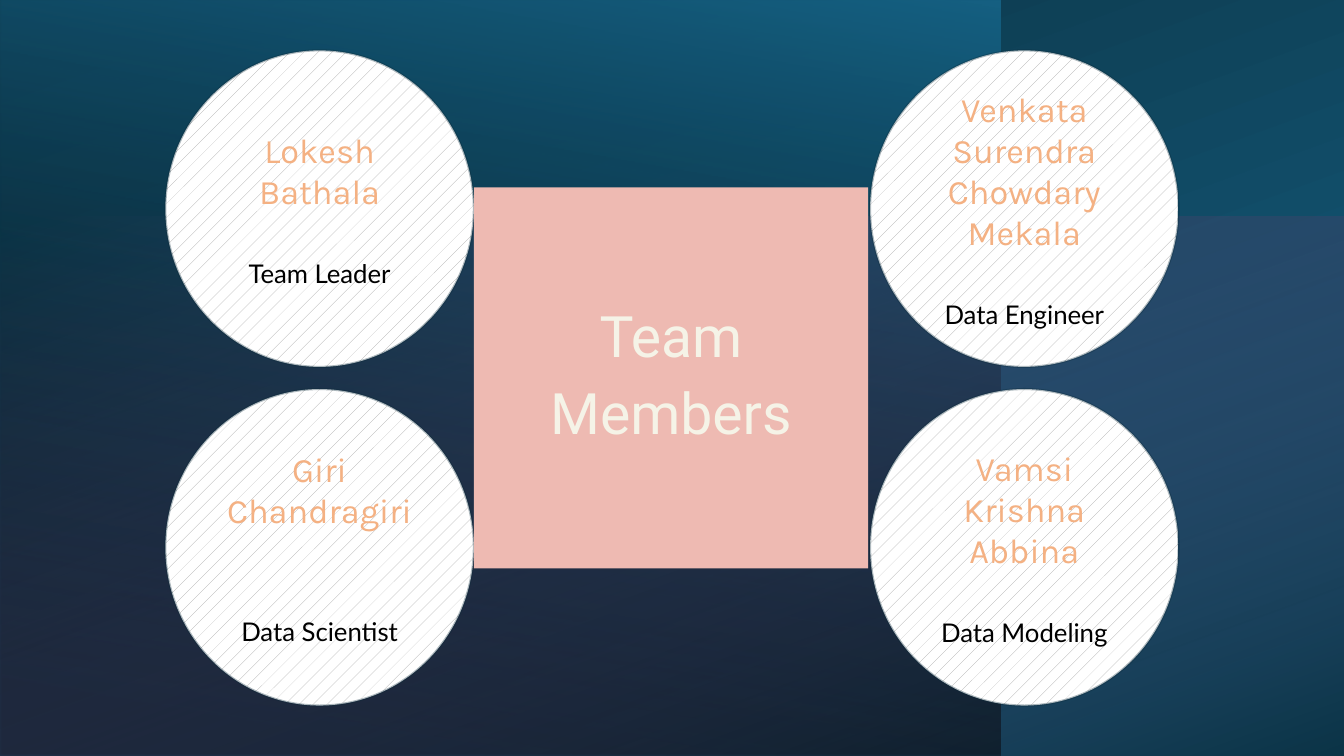
from dataclasses import dataclass

from pptx import Presentation
from pptx.dml.color import RGBColor
from pptx.enum.dml import MSO_PATTERN_TYPE
from pptx.enum.shapes import MSO_SHAPE
from pptx.enum.text import MSO_ANCHOR, MSO_AUTO_SIZE, PP_ALIGN
from pptx.oxml import parse_xml
from pptx.oxml.ns import nsdecls
from pptx.util import Inches, Pt

RECTANGLE, OVAL = MSO_SHAPE.RECTANGLE, MSO_SHAPE.OVAL
DOTTED = MSO_PATTERN_TYPE.PERCENT_5
MIDDLE, CENTER = MSO_ANCHOR.MIDDLE, PP_ALIGN.CENTER
NO_FIT = MSO_AUTO_SIZE.NONE
WIDTH, HEIGHT = 13.33, 7.5


@dataclass(frozen=True)
class Theme:
    teal: str = "156082"
    deep_teal: str = "0B3041"
    black: str = "000000"
    orchid: str = "D86ECC"
    white: str = "FFFFFF"
    hatch: str = "A6A6A6"
    outline: str = "092A39"
    pink: str = "EEBAB2"
    cream: str = "F5F3E7"
    peach: str = "F4B183"
    title_font: str = "Roboto"
    name_font: str = "Karla"
    role_font: str = "Lato"
    title_size: float = 40.8
    name_size: float = 24.5
    role_size: float = 18.4
    title_gap: float = 6
    outline_width: float = 1.5
    outline_opacity: int = 32


def apply(target, values):
    for name, value in values.items():
        setattr(target, name, value)


def rgb(color):
    return RGBColor.from_string(color)


def alpha(percent):
    return f'<a:alpha {nsdecls("a")} val="{percent * 1000}"/>'


class TeamSlide:
    left, top = 1.64, 0.5
    column_step, row_step = 6.99, 3.36
    circle_width, circle_height = 3.06, 3.14

    def __init__(self, deck, theme):
        self.theme = theme
        self.page = deck.slides.add_slide(deck.slide_layouts[5])

    def shape(self, kind, left, top, width, height):
        box = self.page.shapes.add_shape(
            kind, Inches(left), Inches(top), Inches(width), Inches(height))
        box.shadow.inherit = False
        return box

    def panel(self, area, rotation, angle, stops):
        left, top, width, height = area
        if rotation == 270:
            left += (width - height) / 2
            top += (height - width) / 2
            width, height = height, width
        box = self.shape(RECTANGLE, left, top, width, height)
        box.rotation = rotation
        box.line.fill.background()
        properties = box._element.spPr
        properties.xfrm.set("flipH", "1")
        marks = "".join(
            f'<a:gs pos="{place * 1000}"><a:srgbClr val="{color}">'
            f'{alpha(opacity)}</a:srgbClr></a:gs>'
            for place, color, opacity in stops)
        properties.insert(2, parse_xml(
            f'<a:gradFill {nsdecls("a")} rotWithShape="1"><a:gsLst>{marks}</a:gsLst>'
            f'<a:lin ang="{angle * 60000}" scaled="0"/></a:gradFill>'))

    def paragraph(self, para, text, font, size, color, gap):
        apply(para, {"alignment": CENTER, "space_after": Pt(gap)})
        span = para.add_run()
        span.text = text
        apply(span.font, {"name": font, "size": Pt(size)})
        span.font.color.rgb = rgb(color)

    def member(self, column, row, name, role, gap):
        theme = self.theme
        box = self.shape(
            OVAL, self.left + column * self.column_step,
            self.top + row * self.row_step, self.circle_width, self.circle_height)
        box.fill.patterned()
        box.fill.pattern = DOTTED
        box.fill.fore_color.rgb = rgb(theme.hatch)
        box.fill.back_color.rgb = rgb(theme.white)
        box.line.width = Pt(theme.outline_width)
        box.line.color.rgb = rgb(theme.outline)
        for color in box._element.spPr.xpath("./a:ln//a:srgbClr"):
            color.append(parse_xml(alpha(theme.outline_opacity)))
        frame = box.text_frame
        apply(frame, {"word_wrap": True, "vertical_anchor": MIDDLE})
        self.paragraph(frame.paragraphs[0], name, theme.name_font,
                       theme.name_size, theme.peach, gap)
        self.paragraph(frame.add_paragraph(), role, theme.role_font,
                       theme.role_size, theme.black, 0)

    def title(self, lines, left, top, width, height):
        theme = self.theme
        box = self.page.shapes.title
        apply(box, {"left": Inches(left), "top": Inches(top),
                    "width": Inches(width), "height": Inches(height)})
        box._element.spPr.insert(1, parse_xml(
            f'<a:prstGeom {nsdecls("a")} prst="diamond"><a:avLst/></a:prstGeom>'))
        box.fill.solid()
        box.fill.fore_color.rgb = rgb(theme.pink)
        frame = box.text_frame
        apply(frame, {"word_wrap": False, "auto_size": NO_FIT,
                      "vertical_anchor": MIDDLE, "margin_top": 0,
                      "margin_bottom": Inches(0.1)})
        for index, line in enumerate(lines):
            para = frame.add_paragraph() if index else frame.paragraphs[0]
            self.paragraph(para, line, theme.title_font, theme.title_size,
                           theme.cream, theme.title_gap)
        self.page.shapes._spTree.append(box._element)


def main():
    deck = Presentation()
    apply(deck, {"slide_width": Inches(WIDTH), "slide_height": Inches(HEIGHT)})
    theme = Theme()
    slide = TeamSlide(deck, theme)

    slide.panel((0, 0, WIDTH, HEIGHT), 270, 200,
                [(8, theme.teal, 100), (100, theme.deep_teal, 100)])
    slide.panel((0, 0, 9.92, HEIGHT), 180, 80,
                [(8, theme.black, 52), (100, theme.teal, 100)])
    slide.panel((0, 2.15, WIDTH, 5.35), 270, 20,
                [(0, theme.orchid, 0), (100, theme.black, 46)])

    members = [
        (0, 0, "Lokesh Bathala", "Team Leader", 33),
        (1, 1, "Vamsi Krishna Abbina", "Data Modeling", 33),
        (1, 0, "Venkata Surendra Chowdary Mekala", "Data Engineer", 33),
        (0, 1, "Giri Chandragiri", "Data Scientist", 61),
    ]
    for member in members:
        slide.member(*member)
    slide.title(["Team", "Members"], 4.7, 1.86, 3.91, 3.78)
    deck.save("out.pptx")


if __name__ == "__main__":
    main()
